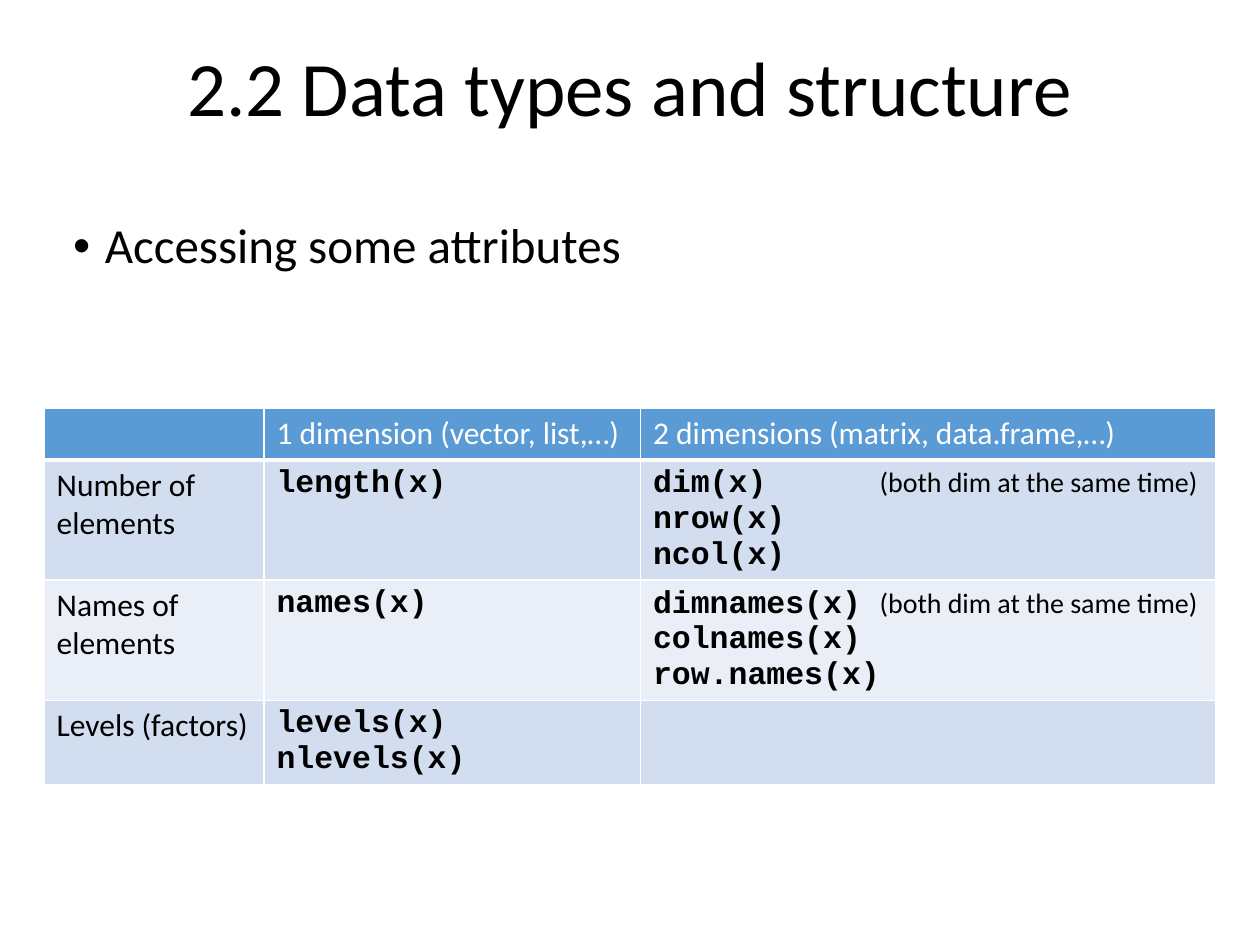
from dataclasses import dataclass

from lxml.etree import SubElement
from pptx import Presentation
from pptx.dml.color import RGBColor as Rgb
from pptx.enum.text import MSO_ANCHOR as Anchor, MSO_AUTO_SIZE as AutoSize, PP_ALIGN as Align
from pptx.oxml.ns import qn
from pptx.util import Cm, Pt


@dataclass(frozen=True)
class Theme:
    text_font: str = "Calibri"
    code_font: str = "Courier New"
    black: Rgb = Rgb(0, 0, 0)
    white: Rgb = Rgb(255, 255, 255)
    header_fill: Rgb = Rgb(0x5B, 0x9B, 0xD5)
    band_fills: tuple = (Rgb(0xD2, 0xDE, 0xEF), Rgb(0xEA, 0xEF, 0xF7))
    title_size: int = 44
    bullet_size: int = 28
    cell_size: int = 18
    note_size: int = 16


@dataclass(frozen=True)
class AttributeRow:
    label: str
    one_dim: tuple
    two_dim: tuple
    height: float
    note: str = ""


THEME = Theme()
HEADINGS = ("", "1 dimension (vector, list,…)", "2 dimensions (matrix, data.frame,…)")
BOTH_DIMS = "(both dim at the same time)"
ROWS = (
    AttributeRow("Number of elements", ("length(x)",),
                 ("dim(x)", "nrow(x)", "ncol(x)"), 2.42, BOTH_DIMS),
    AttributeRow("Names of elements", ("names(x)",),
                 ("dimnames(x)", "colnames(x)", "row.names(x)"), 2.42, BOTH_DIMS),
    AttributeRow("Levels (factors)", ("levels(x)", "nlevels(x)"), (), 1.7),
)
COLUMN_WIDTHS = (4.43, 7.59, 11.6)
HEADER_HEIGHT = 1.04
NOTE_TAB = 4.57


def style_font(font, size: int, color: Rgb, name: str = THEME.text_font, bold: bool = False) -> None:
    font.name, font.size, font.bold = name, Pt(size), bold
    font.color.rgb = color


def place(shape, left: float, top: float, width: float, height: float) -> None:
    shape.left, shape.top, shape.width, shape.height = map(Cm, (left, top, width, height))


def fill_placeholder(shape, text: str, size: int):
    frame = shape.text_frame
    frame.text = text
    frame.auto_size = AutoSize.NONE
    paragraph = frame.paragraphs[0]
    paragraph.line_spacing = 0.9
    style_font(paragraph.font, size, THEME.black)
    return paragraph


def paint_cell(cell, fill: Rgb, bottom_width: int = 1) -> None:
    properties = cell._tc.get_or_add_tcPr()
    for side in "LRTB":
        width = bottom_width if side == "B" else 1
        border = SubElement(properties, qn(f"a:ln{side}"), w=str(Pt(width)))
        border_fill = SubElement(border, qn("a:solidFill"))
        SubElement(border_fill, qn("a:srgbClr"), val=str(THEME.white))
    cell.fill.solid()
    cell.fill.fore_color.rgb = fill


def write_label(cell, text: str, color: Rgb) -> None:
    cell.text = text
    style_font(cell.text_frame.paragraphs[0].font, THEME.cell_size, color)


def write_calls(cell, calls: tuple, note: str = "") -> None:
    """Put one function call on each line, with the note tabbed after the first."""
    cell.text = "\n".join(calls)
    paragraphs = cell.text_frame.paragraphs
    for paragraph in paragraphs:
        style_font(paragraph.font, THEME.cell_size, THEME.black, THEME.code_font, bold=True)
    if note:
        first = paragraphs[0]
        tabs = SubElement(first._p.get_or_add_pPr(), qn("a:tabLst"))
        SubElement(tabs, qn("a:tab"), pos=str(Cm(NOTE_TAB)), algn="l")
        first._p.pPr.insert(0, tabs)
        remark = first.add_run()
        remark.text = "\t" + note
        style_font(remark.font, THEME.note_size, THEME.black)


def add_attribute_table(slide) -> None:
    heights = (HEADER_HEIGHT, *(row.height for row in ROWS))
    table = slide.shapes.add_table(
        len(heights), len(COLUMN_WIDTHS), Cm(0.89), Cm(8.23),
        Cm(sum(COLUMN_WIDTHS)), Cm(sum(heights))).table
    for column, width in zip(table.columns, COLUMN_WIDTHS):
        column.width = Cm(width)
    for table_row, height in zip(table.rows, heights):
        table_row.height = Cm(height)

    for index, heading in enumerate(HEADINGS):
        header_cell = table.cell(0, index)
        paint_cell(header_cell, THEME.header_fill, bottom_width=3)
        write_label(header_cell, heading, THEME.white)
    for index, row in enumerate(ROWS):
        label_cell, one_dim_cell, two_dim_cell = cells = table.rows[index + 1].cells
        for cell in cells:
            paint_cell(cell, THEME.band_fills[index % 2])
        write_label(label_cell, row.label, THEME.black)
        write_calls(one_dim_cell, row.one_dim)
        write_calls(two_dim_cell, row.two_dim, row.note)


def main() -> None:
    deck = Presentation()
    deck.slide_width, deck.slide_height = Cm(25.4), Cm(19.05)
    slide = deck.slides.add_slide(deck.slide_layouts[1])
    title, body = slide.placeholders

    place(title, 0, 0, 25.4, 3.68)
    heading = fill_placeholder(title, "2.2 Data types and structure", THEME.title_size)
    heading.alignment = Align.CENTER
    title.text_frame.vertical_anchor = Anchor.MIDDLE

    place(body, 1.22, 4.34, 21.9, 12.09)
    bullet = fill_placeholder(body, "Accessing some attributes", THEME.bullet_size)
    bullet.space_before = Pt(10)
    indent = Cm(0.64)
    bullet_properties = bullet._p.get_or_add_pPr()
    bullet_properties.set("marL", str(indent))
    bullet_properties.set("indent", str(-indent))

    add_attribute_table(slide)
    deck.save("out.pptx")


if __name__ == "__main__":
    main()
